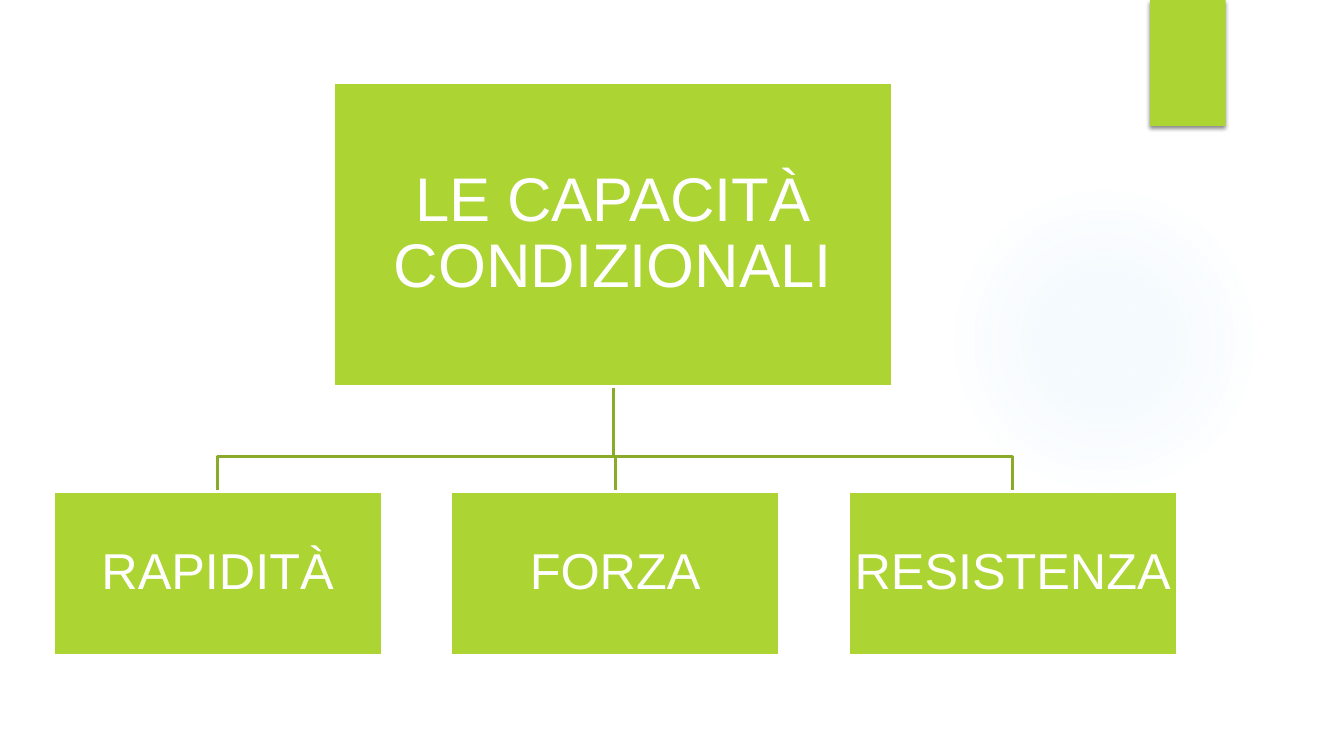
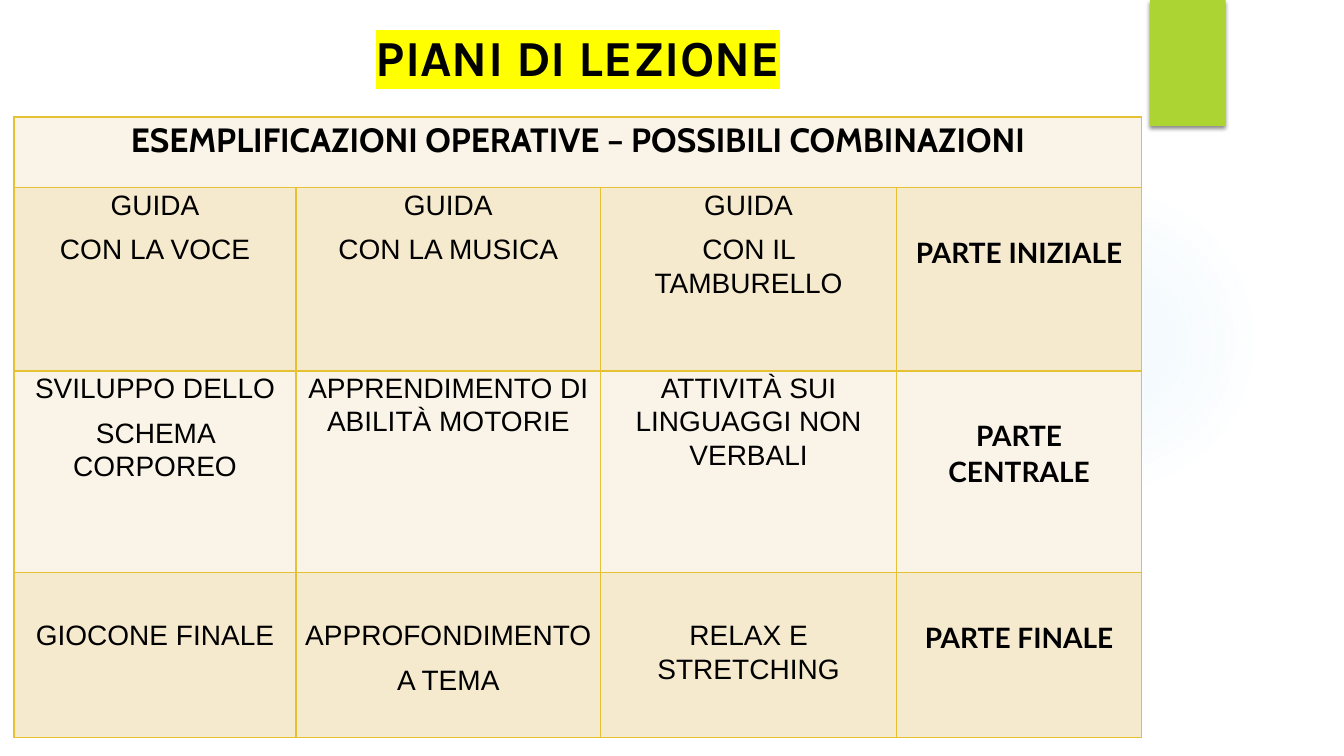
from dataclasses import dataclass

from lxml import etree
from pptx import Presentation
from pptx.dml.color import RGBColor as Rgb
from pptx.enum.shapes import MSO_SHAPE as Preset
from pptx.enum.text import MSO_ANCHOR as Anchor, PP_ALIGN as Align
from pptx.oxml import parse_xml
from pptx.oxml.ns import nsdecls, qn
from pptx.util import Pt


@dataclass(frozen=True)
class Theme:
    green: str = "ACD433"
    dark_green: str = "8AAA29"
    glow: str = "78C4F1"
    white: str = "FFFFFF"
    black: str = "000000"
    gold: str = "E6C133"
    pale_sand: str = "FAF4E8"
    sand: str = "F5E9CE"
    marker: str = "FFFF00"
    body_font: str = "Arial"
    heading_font: str = "Cabin"
    title_font: str = "Karla"
    phase_font: str = "Lato"
    root_size: float = 44
    branch_size: float = 36
    title_size: float = 36
    heading_size: float = 24
    cell_size: float = 20


THEME = Theme()
TABLE_PARAGRAPH = dict(alignment=Align.CENTER, line_spacing=1.07, space_after=Pt(8))

ROOT = "LE CAPACITÀ CONDIZIONALI"
BRANCHES = ["RAPIDITÀ", "FORZA", "RESISTENZA"]

TITLE = "PIANI DI LEZIONE"
HEADING = "ESEMPLIFICAZIONI OPERATIVE – POSSIBILI COMBINAZIONI"
LESSON_PARTS = [
    [["GUIDA", "CON LA VOCE"], ["GUIDA", "CON LA MUSICA"],
     ["GUIDA", "CON IL TAMBURELLO"], ["PARTE INIZIALE"]],
    [["SVILUPPO DELLO", "SCHEMA CORPOREO"], ["APPRENDIMENTO DI ABILITÀ MOTORIE"],
     ["ATTIVITÀ SUI LINGUAGGI NON VERBALI"], ["PARTE CENTRALE"]],
    [["GIOCONE FINALE"], ["APPROFONDIMENTO", "A TEMA"],
     ["RELAX E STRETCHING"], ["PARTE FINALE"]],
]
COLUMN_WIDTHS = [201.5, 217.5, 211.5, 175]
ROW_HEIGHTS = [50.5, 131, 144, 118]
LOWERED = 32.5  # top inset that starts a cell's text one line lower


def apply(target, values):
    for name, value in values.items():
        setattr(target, name, value)


def paint(part, fill, line=None, width=2):
    part.fill.solid()
    part.fill.fore_color.rgb = Rgb.from_string(fill)
    if line:
        part.line.color.rgb = Rgb.from_string(line)
        part.line.width = Pt(width)
    else:
        part.line.fill.background()


def add_block(slide, preset, box, fill, line=None):
    block = slide.shapes.add_shape(preset, *map(Pt, box))
    block.shadow.inherit = False
    paint(block, fill, line)
    return block


def write(frame, lines, paragraph_format, color, **font_format):
    for index, line in enumerate(lines):
        paragraph = frame.add_paragraph() if index else frame.paragraphs[0]
        apply(paragraph, paragraph_format)
        run = paragraph.add_run()
        run.text = line
        apply(run.font, font_format)
        run.font.color.rgb = Rgb.from_string(color)


# Backdrop shared by every slide: soft glow and green tab
def add_backdrop(slide):
    glow = add_block(slide, Preset.OVAL, (677.5, 132, 222, 222), THEME.glow)
    stops = "".join(
        f'<a:gs pos="{position * 1000}"><a:srgbClr val="{THEME.glow}">'
        f'<a:alpha val="{alpha * 1000}"/></a:srgbClr></a:gs>'
        for position, alpha in [(0, 7), (36, 6), (69, 0), (100, 0)])
    gradient = parse_xml(
        f'<a:gradFill {nsdecls("a")}><a:gsLst>{stops}</a:gsLst><a:path path="circle">'
        '<a:fillToRect l="50000" t="50000" r="50000" b="50000"/></a:path></a:gradFill>')
    properties = glow._element.spPr
    properties.replace(properties.find(qn("a:solidFill")), gradient)

    tab = add_block(slide, Preset.RECTANGLE, (821.5, 0, 54, 90), THEME.green)
    tab._element.spPr.find(qn("a:effectLst")).append(parse_xml(
        f'<a:outerShdw {nsdecls("a")} blurRad="{Pt(3)}" dist="{Pt(2)}" dir="5400000" '
        f'rotWithShape="0"><a:srgbClr val="{THEME.black}"><a:alpha val="45000"/>'
        '</a:srgbClr></a:outerShdw>'))


def add_node(slide, box, label, size):
    node = add_block(slide, Preset.RECTANGLE, box, THEME.green, THEME.white)
    inset = Pt(2)
    apply(node.text_frame, dict(
        word_wrap=True, vertical_anchor=Anchor.MIDDLE, margin_left=inset,
        margin_right=inset, margin_top=inset, margin_bottom=inset))
    write(node.text_frame, [label], dict(alignment=Align.CENTER, line_spacing=0.9),
          THEME.white, size=Pt(size), name=THEME.body_font)


def add_branch_line(slide, start, bend, end):
    builder = slide.shapes.build_freeform(Pt(start[0]), Pt(start[1]))
    corners = [(start[0], bend), (end[0], bend), end]
    builder.add_line_segments([(Pt(x), Pt(y)) for x, y in corners], close=False)
    branch_line = builder.convert_to_shape()
    branch_line.shadow.inherit = False
    branch_line.fill.background()
    branch_line.line.color.rgb = Rgb.from_string(THEME.dark_green)
    branch_line.line.width = Pt(2)


# Tree: one root above a row of equal branches
def add_tree(slide, left, top, width, height):
    root_width, root_height = 399, 217
    branch_width, branch_height = 235, 117
    root_left = left + (width - root_width) / 2 - 1.5
    branch_top = top + height - branch_height
    pitch = (width - branch_width) / (len(BRANCHES) - 1)
    branch_lefts = [left + index * pitch for index in range(len(BRANCHES))]

    for branch_left in branch_lefts:
        add_branch_line(slide, (root_left + root_width / 2, top + root_height),
                        branch_top - 25, (branch_left + branch_width / 2, branch_top))
    add_node(slide, (root_left, top, root_width, root_height), ROOT, THEME.root_size)
    for branch_left, label in zip(branch_lefts, BRANCHES):
        add_node(slide, (branch_left, branch_top, branch_width, branch_height),
                 label, THEME.branch_size)


# Highlighted title with a thin white outline
def add_title(slide, left, top, width, height):
    title = slide.shapes.add_textbox(*map(Pt, (left, top, width, height)))
    title.text_frame.word_wrap = True
    write(title.text_frame, [TITLE], TABLE_PARAGRAPH, THEME.black,
          size=Pt(THEME.title_size), name=THEME.title_font, bold=True)
    properties = title.text_frame.paragraphs[0].runs[0].font._element
    highlight = parse_xml(f'<a:highlight {nsdecls("a")}>'
                          f'<a:srgbClr val="{THEME.marker}"/></a:highlight>')
    properties.find(qn("a:solidFill")).addnext(highlight)
    properties.insert(0, parse_xml(
        f'<a:ln {nsdecls("a")} w="{Pt(0.75)}"><a:solidFill>'
        f'<a:srgbClr val="{THEME.white}"/></a:solidFill></a:ln>'))


def style_cell(cell, fill, top_inset=0):
    apply(cell, dict(margin_left=Pt(5), margin_right=Pt(5),
                     margin_top=Pt(top_inset), margin_bottom=0))
    properties = cell._tc.get_or_add_tcPr()
    for side in ("lnL", "lnR", "lnT", "lnB"):
        border = etree.SubElement(properties, qn(f"a:{side}"), w=str(Pt(1)))
        solid = etree.SubElement(border, qn("a:solidFill"))
        etree.SubElement(solid, qn("a:srgbClr"), val=THEME.gold)
    cell.fill.solid()
    cell.fill.fore_color.rgb = Rgb.from_string(fill)


# Lesson plan: merged heading, then one row per part of the lesson
def add_lesson_plan(slide, left, top):
    plan = slide.shapes.add_table(
        len(ROW_HEIGHTS), len(COLUMN_WIDTHS), Pt(left), Pt(top),
        Pt(sum(COLUMN_WIDTHS)), Pt(sum(ROW_HEIGHTS))).table
    apply(plan, dict(first_row=False, horz_banding=False))
    for column, width in zip(plan.columns, COLUMN_WIDTHS):
        column.width = Pt(width)
    for row, height in zip(plan.rows, ROW_HEIGHTS):
        row.height = Pt(height)

    for cell in plan.rows[0].cells:
        style_cell(cell, THEME.pale_sand)
    heading = plan.cell(0, 0)
    heading.merge(plan.cell(0, len(COLUMN_WIDTHS) - 1))
    write(heading.text_frame, [HEADING], TABLE_PARAGRAPH, THEME.black,
          size=Pt(THEME.heading_size), name=THEME.heading_font, bold=True)

    last_row, last_column = len(ROW_HEIGHTS) - 1, len(COLUMN_WIDTHS) - 1
    for row_index, activities in enumerate(LESSON_PARTS, start=1):
        for column_index, lines in enumerate(activities):
            is_phase = column_index == last_column
            cell = plan.cell(row_index, column_index)
            style_cell(cell, THEME.sand if row_index % 2 else THEME.pale_sand,
                       LOWERED if is_phase or row_index == last_row else 0)
            write(cell.text_frame, lines, TABLE_PARAGRAPH, THEME.black,
                  size=Pt(THEME.cell_size), bold=is_phase,
                  name=THEME.phase_font if is_phase else THEME.body_font)


def main():
    deck = Presentation()
    apply(deck, dict(slide_width=Pt(960), slide_height=Pt(540)))
    blank = deck.slide_layouts[6]

    abilities = deck.slides.add_slide(blank)
    add_backdrop(abilities)
    add_tree(abilities, 38, 59, 803, 409)

    lessons = deck.slides.add_slide(blank)
    add_backdrop(lessons)
    add_lesson_plan(lessons, 10, 83.5)
    add_title(lessons, 173, 12, 480, 53)

    deck.save("out.pptx")


if __name__ == "__main__":
    main()
